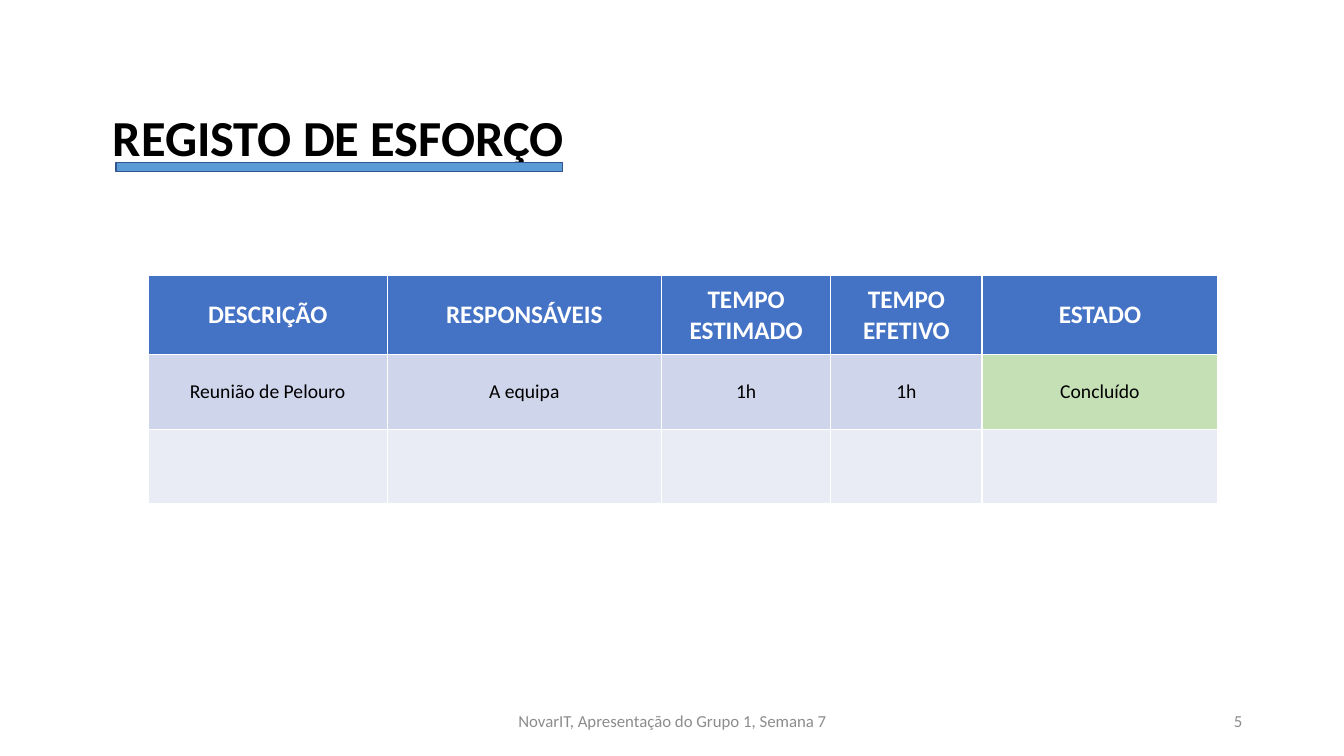
from pptx import Presentation
from pptx.dml.color import RGBColor
from pptx.enum.shapes import MSO_SHAPE
from pptx.enum.text import MSO_ANCHOR, MSO_AUTO_SIZE, PP_ALIGN
from pptx.util import Inches, Pt

RECTANGLE = MSO_SHAPE.RECTANGLE
MIDDLE, TOP = MSO_ANCHOR.MIDDLE, MSO_ANCHOR.TOP
NO_AUTOFIT = MSO_AUTO_SIZE.NONE
LEFT, CENTER, RIGHT = PP_ALIGN.LEFT, PP_ALIGN.CENTER, PP_ALIGN.RIGHT

FONT = "Calibri"
SLIDE_WIDTH, SLIDE_HEIGHT = Inches(13.33), Inches(7.5)
TITLE_ONLY_LAYOUT = 5
COLORS = {
    "black": "000000",
    "white": "FFFFFF",
    "gray": "8C8C8C",
    "header": "4472C4",
    "odd_row": "CFD5EA",
    "even_row": "E9EBF5",
    "done": "C5E0B4",
    "bar": "5B9BD5",
    "bar_line": "325491",
}

COLUMN_SHARES = [17.78, 20.41, 12.6, 11.25, 17.55]
ROW_SHARES = [10.4, 9.87, 9.87]
EFFORT_ROWS = [
    ["DESCRIÇÃO", "RESPONSÁVEIS", "TEMPO ESTIMADO", "TEMPO EFETIVO", "ESTADO"],
    ["Reunião de Pelouro", "A equipa", "1h", "1h", "Concluído"],
    ["", "", "", "", ""],
]
ROW_FILLS = ["header", "odd_row", "even_row"]
FOOTER_TOP, FOOTER_HEIGHT = 92.67, 5.33


def color(name):
    return RGBColor.from_string(COLORS[name])


def across(percent):
    return int(SLIDE_WIDTH * percent / 100)


def down(percent):
    return int(SLIDE_HEIGHT * percent / 100)


def area(left, top, width, height):
    return across(left), down(top), across(width), down(height)


def write(text_frame, text, size, color_name, alignment, bold=False):
    text_frame.text = text
    paragraph = text_frame.paragraphs[0]
    paragraph.alignment = alignment
    for run in paragraph.runs:
        run.font.name = FONT
        run.font.size = Pt(size)
        run.font.bold = bold
        run.font.color.rgb = color(color_name)


def add_title(slide, text):
    title = slide.shapes.title
    title.left, title.top, title.width, title.height = area(7.65, 13.33, 39.6, 9.47)
    write(title.text_frame, text, 36, "black", LEFT, bold=True)
    title.text_frame.auto_size = NO_AUTOFIT
    title.text_frame.vertical_anchor = TOP


def add_title_bar(slide):
    bar = slide.shapes.add_shape(RECTANGLE, *area(8.63, 21.47, 33.23, 1.2))
    bar.shadow.inherit = False
    bar.fill.solid()
    bar.fill.fore_color.rgb = color("bar")
    bar.line.color.rgb = color("bar_line")
    bar.line.width = Pt(1)


def fill_cell(cell, text, fill_name, is_header):
    cell.fill.solid()
    cell.fill.fore_color.rgb = color(fill_name)
    cell.vertical_anchor = MIDDLE
    cell.margin_left = cell.margin_right = Inches(0.18)
    cell.margin_top = cell.margin_bottom = Inches(0.09)
    size, color_name = (18, "white") if is_header else (14, "black")
    write(cell.text_frame, text, size, color_name, CENTER, bold=is_header)


def add_effort_table(slide):
    frame = slide.shapes.add_table(
        len(ROW_SHARES), len(COLUMN_SHARES),
        *area(11.03, 36.4, sum(COLUMN_SHARES), sum(ROW_SHARES)))
    table = frame.table
    for column, share in zip(table.columns, COLUMN_SHARES):
        column.width = across(share)
    for row, share in zip(table.rows, ROW_SHARES):
        row.height = down(share)
    for row_index, texts in enumerate(EFFORT_ROWS):
        for column_index, text in enumerate(texts):
            fill_name = "done" if text == "Concluído" else ROW_FILLS[row_index]
            fill_cell(table.cell(row_index, column_index), text, fill_name, row_index == 0)


def add_footer_text(slide, text, left, width, alignment):
    box = slide.shapes.add_textbox(*area(left, FOOTER_TOP, width, FOOTER_HEIGHT))
    box.text_frame.word_wrap = True
    box.text_frame.vertical_anchor = MIDDLE
    write(box.text_frame, text, 12, "gray", alignment)


def main():
    presentation = Presentation()
    presentation.slide_width, presentation.slide_height = SLIDE_WIDTH, SLIDE_HEIGHT
    slide = presentation.slides.add_slide(presentation.slide_layouts[TITLE_ONLY_LAYOUT])
    add_title(slide, "REGISTO DE ESFORÇO")
    add_effort_table(slide)
    add_title_bar(slide)
    add_footer_text(slide, "5", 70.67, 22.5, RIGHT)
    add_footer_text(slide, "NovarIT, Apresentação do Grupo 1, Semana 7", 33.16, 33.76, CENTER)
    presentation.save("out.pptx")


if __name__ == "__main__":
    main()
